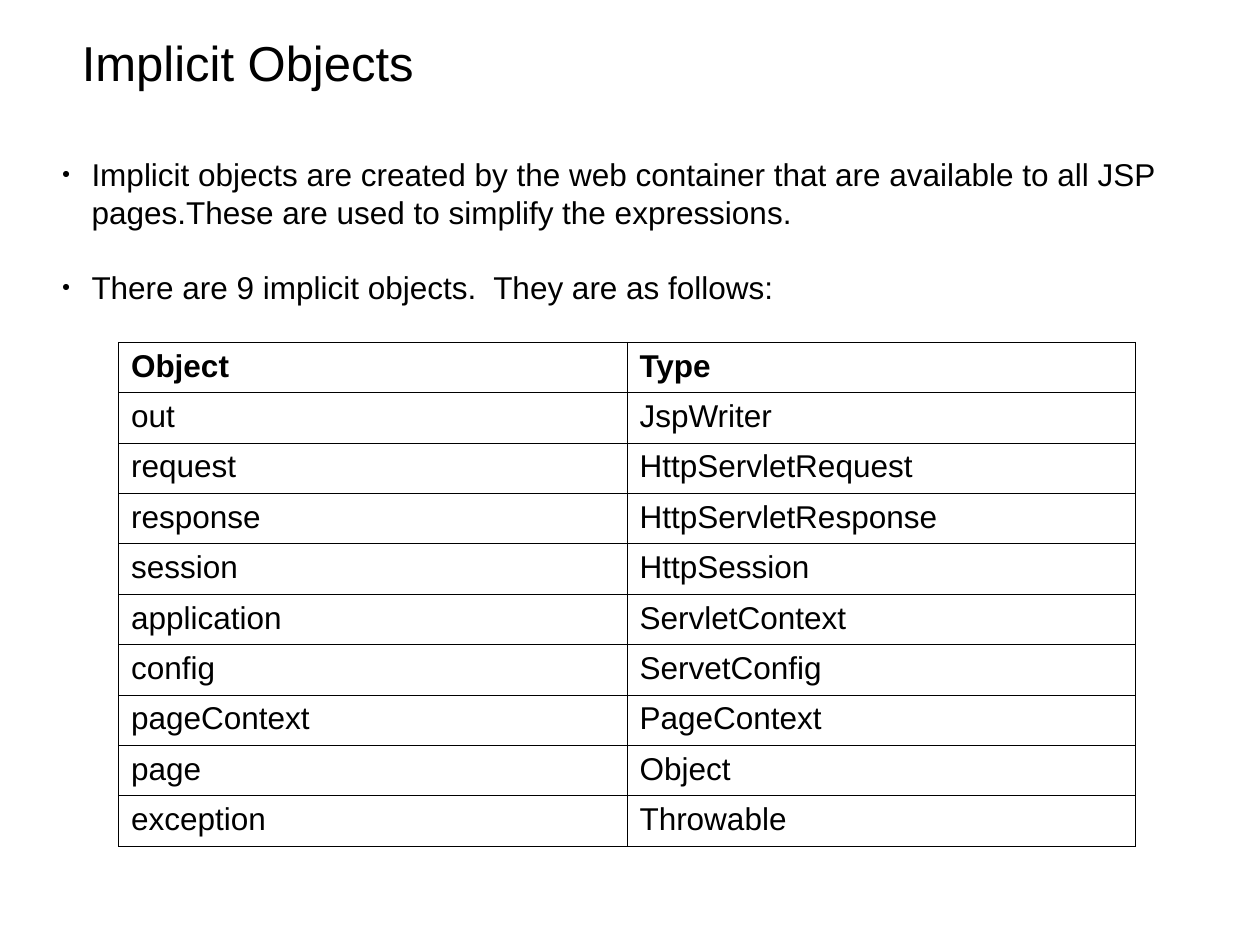
from lxml.etree import SubElement
from pptx import Presentation
from pptx.dml.color import RGBColor
from pptx.enum.text import MSO_ANCHOR, MSO_AUTO_SIZE, PP_ALIGN
from pptx.oxml.ns import qn
from pptx.util import Pt

COLORS = {"ink": "000000"}
FONT = "Arial"
POINTS = [
    "Implicit objects are created by the web container that are available to all JSP "
    "pages.These are used to simplify the expressions.",
    "There are 9 implicit objects.  They are as follows:",
]
IMPLICIT_OBJECTS = [
    ("Object", "Type"),
    ("out", "JspWriter"),
    ("request", "HttpServletRequest"),
    ("response", "HttpServletResponse"),
    ("session", "HttpSession"),
    ("application", "ServletContext"),
    ("config", "ServetConfig"),
    ("pageContext", "PageContext"),
    ("page", "Object"),
    ("exception", "Throwable"),
]


class SlideWriter:
    """Holds the text style and the slide being filled."""

    def __init__(self, slide, text_size=18, title_size=28):
        self.slide = slide
        self.text_size = text_size
        self.title_size = title_size

    def style(self, paragraph, size, bold=False):
        paragraph.alignment = PP_ALIGN.LEFT
        font = paragraph.font
        font.name, font.size, font.bold = FONT, Pt(size), bold
        font.color.rgb = RGBColor.from_string(COLORS["ink"])

    def place(self, holder, left, top, width, height):
        holder.left, holder.top = Pt(left), Pt(top)
        holder.width, holder.height = Pt(width), Pt(height)
        frame = holder.text_frame
        frame.word_wrap = True
        frame.auto_size = MSO_AUTO_SIZE.NONE
        frame.vertical_anchor = MSO_ANCHOR.TOP
        return frame

    def title(self, text, *box):
        frame = self.place(self.slide.shapes.title, *box)
        frame.text = text
        self.style(frame.paragraphs[0], self.title_size)

    def bullets(self, points, gap, *box):
        frame = self.place(self.slide.placeholders[1], *box)
        frame.text = "\n".join(points)
        for index, paragraph in enumerate(frame.paragraphs):
            self.bullet(paragraph)
            paragraph.space_before = Pt(gap if index else 0)
            self.style(paragraph, self.text_size)

    def bullet(self, paragraph, indent=17):
        props = paragraph._p.get_or_add_pPr()
        props.set("marL", str(Pt(indent)))
        props.set("indent", str(-Pt(indent)))
        SubElement(SubElement(props, qn("a:buClr")), qn("a:srgbClr"), val=COLORS["ink"])
        SubElement(props, qn("a:buSzPct"), val="45000")
        SubElement(props, qn("a:buFont"), typeface=FONT)
        SubElement(props, qn("a:buChar"), char="●")

    def table(self, rows, left, top, width, row_height):
        grid = self.slide.shapes.add_table(
            len(rows), len(rows[0]), Pt(left), Pt(top), Pt(width), Pt(row_height * len(rows))
        ).table
        grid.first_row = grid.horz_banding = False
        for row_index, row in enumerate(rows):
            for column_index, text in enumerate(row):
                cell = grid.cell(row_index, column_index)
                cell.text = text
                self.style(cell.text_frame.paragraphs[0], self.text_size, bold=row_index == 0)
                self.border(cell)
                cell.fill.background()

    def border(self, cell, weight=0.57):
        props = cell._tc.get_or_add_tcPr()
        for side in ("lnL", "lnR", "lnT", "lnB"):
            line = SubElement(props, qn(f"a:{side}"), w=str(Pt(weight)))
            SubElement(SubElement(line, qn("a:solidFill")), qn("a:srgbClr"), val=COLORS["ink"])


def main():
    deck = Presentation()
    deck.slide_width, deck.slide_height = Pt(720), Pt(540)
    writer = SlideWriter(deck.slides.add_slide(deck.slide_layouts[1]))
    writer.title("Implicit Objects", 39.6, 15.1, 311.8, 38.2)
    writer.bullets(POINTS, 21.4, 28.1, 85, 668.9, 385.2)
    writer.table(IMPLICIT_OBJECTS, left=67.7, top=195.6, width=581.2, row_height=28.8)
    deck.save("out.pptx")


if __name__ == "__main__":
    main()
